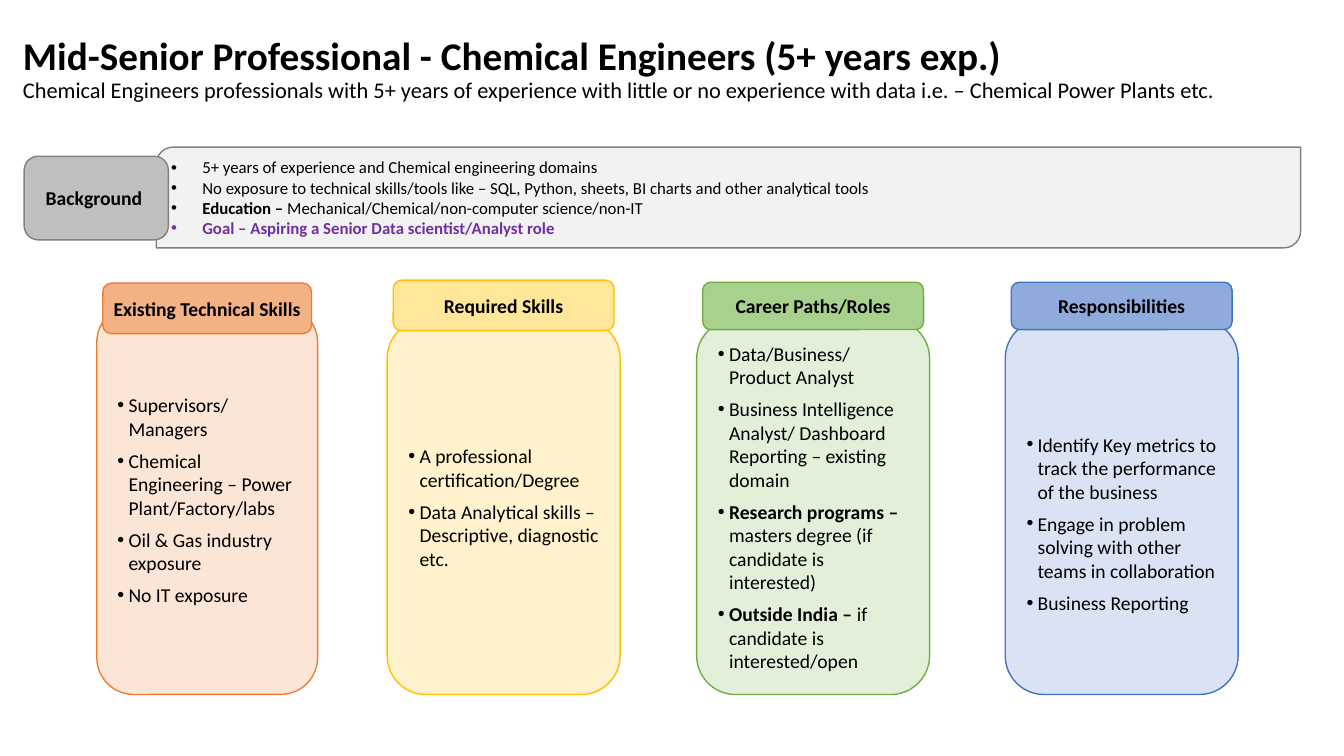
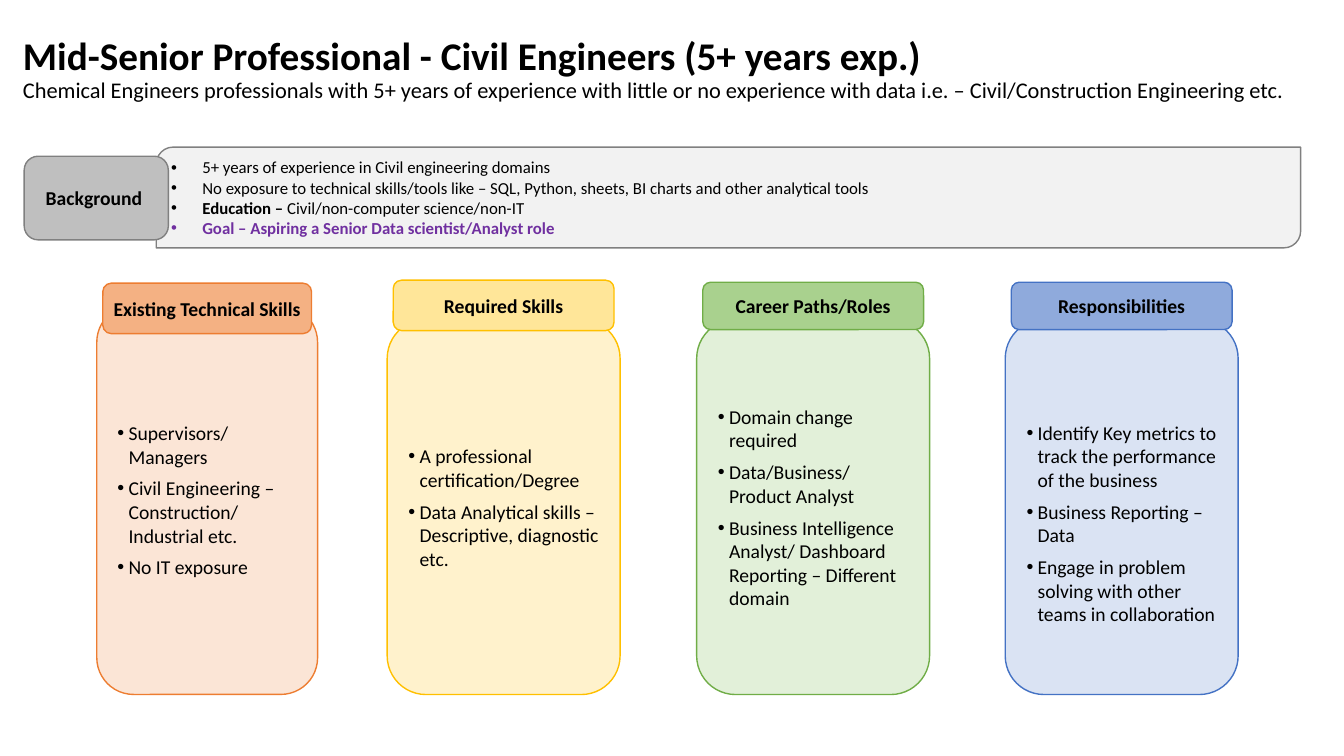
from dataclasses import dataclass

from lxml import etree
from pptx import Presentation
from pptx import util as u
from pptx.dml import color as c
from pptx.enum import shapes as s, text as t
from pptx.oxml import ns


@dataclass(frozen=True)
class Theme:
    font: str = "Calibri"
    ink: str = "000000"
    goal: str = "7030A0"
    band: str = "F2F2F2"
    label: str = "BFBFBF"
    edge: str = "808080"
    title: int = 28
    sub: int = 16
    body: int = 14
    small: int = 12
    gap: int = 6


@dataclass(frozen=True)
class Column:
    head: str
    left: float
    top: float
    wide: float
    tab: tuple  # top and height of the heading
    fill: str
    tint: str
    edge: str
    drop: float = 0  # extra space above the list


THEME = Theme()
FLOOR = 6.89  # shared bottom edge of the columns
INSET = 0.06  # heading is this much narrower on each side

COLUMNS = (
    Column("Existing Technical Skills", 0.96, 3.03, 2.19, (2.81, 0.5),
           "F4B183", "FBE5D6", "ED7D31"),
    Column("Required Skills", 3.84, 3.17, 2.31, (2.78, 0.5),
           "FFE699", "FFF2CC", "FFC000"),
    Column("Career Paths/Roles", 6.91, 3.17, 2.31, (2.8, 0.47),
           "A9D18E", "E2F0D9", "70AD47"),
    Column("Responsibilities", 9.97, 3.17, 2.31, (2.8, 0.47),
           "8FAADC", "DAE3F3", "4472C4", 0.32),
)

# Text shared by the slides; words before "|" are bold
TOOLS = ("No exposure to technical skills/tools like – SQL, Python, "
         "sheets, BI charts and other analytical tools")
GOAL = "Goal – Aspiring a Senior Data scientist/Analyst role|"
INTRO = ("Chemical Engineers professionals with 5+ years of experience "
         "with little or no experience with data i.e. – ")
NEEDS = ("A professional certification/Degree",
         "Data Analytical skills – Descriptive, diagnostic etc.")
ROLES = "Data/Business/ Product Analyst"
INTEL = "Business Intelligence Analyst/ Dashboard Reporting – "
BOSS = "Supervisors/ Managers"
NO_IT = "No IT exposure"
TRACK = "Identify Key metrics to track the performance of the business"
SOLVE = "Engage in problem solving with other teams in collaboration"

DECK = (
    dict(
        field="Chemical",
        scope="Chemical Power Plants etc.",
        back=("5+ years of experience and Chemical engineering domains", TOOLS,
              "Education – |Mechanical/Chemical/non-computer science/non-IT",
              GOAL),
        lists=(
            (BOSS, "Chemical Engineering – Power Plant/Factory/labs",
             "Oil & Gas industry exposure", NO_IT),
            NEEDS,
            (ROLES, INTEL + "existing domain",
             "Research programs – |masters degree (if candidate is interested)",
             "Outside India – |if candidate is interested/open"),
            (TRACK, SOLVE, "Business Reporting"),
        ),
    ),
    dict(
        field="Civil",
        scope="Civil/Construction Engineering etc.",
        back=("5+ years of experience in Civil engineering domains", TOOLS,
              "Education – |Civil/non-computer science/non-IT", GOAL),
        lists=(
            (BOSS, "Civil Engineering – Construction/ Industrial etc.", NO_IT),
            NEEDS,
            ("Domain change required", ROLES, INTEL + "Different domain"),
            (TRACK, "Business Reporting – Data", SOLVE),
        ),
    ),
)


def put(obj, vals):
    """Set each named value on an object."""
    for key, val in vals.items():
        setattr(obj, key, val)


def box(*nums):
    return [u.Inches(n) for n in nums]


def write(para, words, size, bold=False, ink=THEME.ink):
    run = para.add_run()
    run.text = words
    put(run.font, dict(name=THEME.font, size=u.Pt(size), bold=bold))
    run.font.color.rgb = c.RGBColor.from_string(ink)


def panel(slide, kind, area, fill, edge):
    """Draw a filled shape and return its text frame."""
    shape = slide.shapes.add_shape(kind, *box(*area))
    shape.shadow.inherit = False
    shape.fill.solid()
    shape.fill.fore_color.rgb = c.RGBColor.from_string(fill)
    shape.line.color.rgb = c.RGBColor.from_string(edge)
    shape.line.width = u.Pt(1)
    frame = shape.text_frame
    put(frame, dict(word_wrap=True, vertical_anchor=t.MSO_ANCHOR.MIDDLE))
    return frame


def tag(slide, area, words, fill, edge):
    """Draw a rounded heading with centred bold text."""
    frame = panel(slide, s.MSO_SHAPE.ROUNDED_RECTANGLE, area, fill, edge)
    put(frame, dict.fromkeys(
        ("margin_left", "margin_right", "margin_top", "margin_bottom"), 0))
    para = frame.paragraphs[0]
    para.alignment = t.PP_ALIGN.CENTER
    write(para, words, THEME.body, True)


def bullets(frame, items, size, indent, gap=0):
    for num, item in enumerate(items):
        para = frame.add_paragraph() if num else frame.paragraphs[0]
        put(para, dict(alignment=t.PP_ALIGN.LEFT, space_after=u.Pt(gap)))
        # Hanging bullet
        props = para._p.get_or_add_pPr()
        props.set("marL", str(u.Inches(indent)))
        props.set("indent", str(-u.Inches(indent)))
        etree.SubElement(props, ns.qn("a:buFont"), typeface="Arial")
        etree.SubElement(props, ns.qn("a:buChar"), char="•")
        # A line that is bold throughout is the goal
        lead, _, rest = item.rpartition("|")
        if lead:
            write(para, lead, size, True, THEME.ink if rest else THEME.goal)
        if rest:
            write(para, rest, size)


def title(slide, field, scope):
    frame = slide.shapes.add_textbox(*box(0.13, 0.12, 13.06, 1.15)).text_frame
    put(frame, dict(word_wrap=True, vertical_anchor=t.MSO_ANCHOR.MIDDLE))
    para = frame.paragraphs[0]
    para.line_spacing = 0.9
    write(para, f"Mid-Senior Professional - {field} Engineers (5+ years exp.) ",
          THEME.title, True)
    para.add_line_break()
    write(para, INTRO + scope, THEME.sub)


def back(slide, items):
    """Draw the background band and its label."""
    frame = panel(slide, s.MSO_SHAPE.ROUND_2_DIAG_RECTANGLE,
                  (1.55, 1.46, 11.35, 1), THEME.band, THEME.edge)
    bullets(frame, items, THEME.small, 0.31)
    tag(slide, (0.24, 1.55, 1.43, 0.83), "Background ", THEME.label, THEME.edge)


def column(slide, col, items):
    area = (col.left, col.top, col.wide, FLOOR - col.top)
    frame = panel(slide, s.MSO_SHAPE.ROUNDED_RECTANGLE, area, col.tint, col.edge)
    frame.margin_top += u.Inches(col.drop)
    bullets(frame, items, THEME.body, 0.11, THEME.gap)
    top, high = col.tab
    tag(slide, (col.left + INSET, top, col.wide - 2 * INSET, high),
        col.head, col.fill, col.edge)


def main():
    deck = Presentation()
    put(deck, dict(slide_width=u.Inches(13.33), slide_height=u.Inches(7.5)))
    for page in DECK:
        slide = deck.slides.add_slide(deck.slide_layouts[6])
        title(slide, page["field"], page["scope"])
        back(slide, page["back"])
        for col, items in zip(COLUMNS, page["lists"]):
            column(slide, col, items)
    deck.save("out.pptx")


if __name__ == "__main__":
    main()
